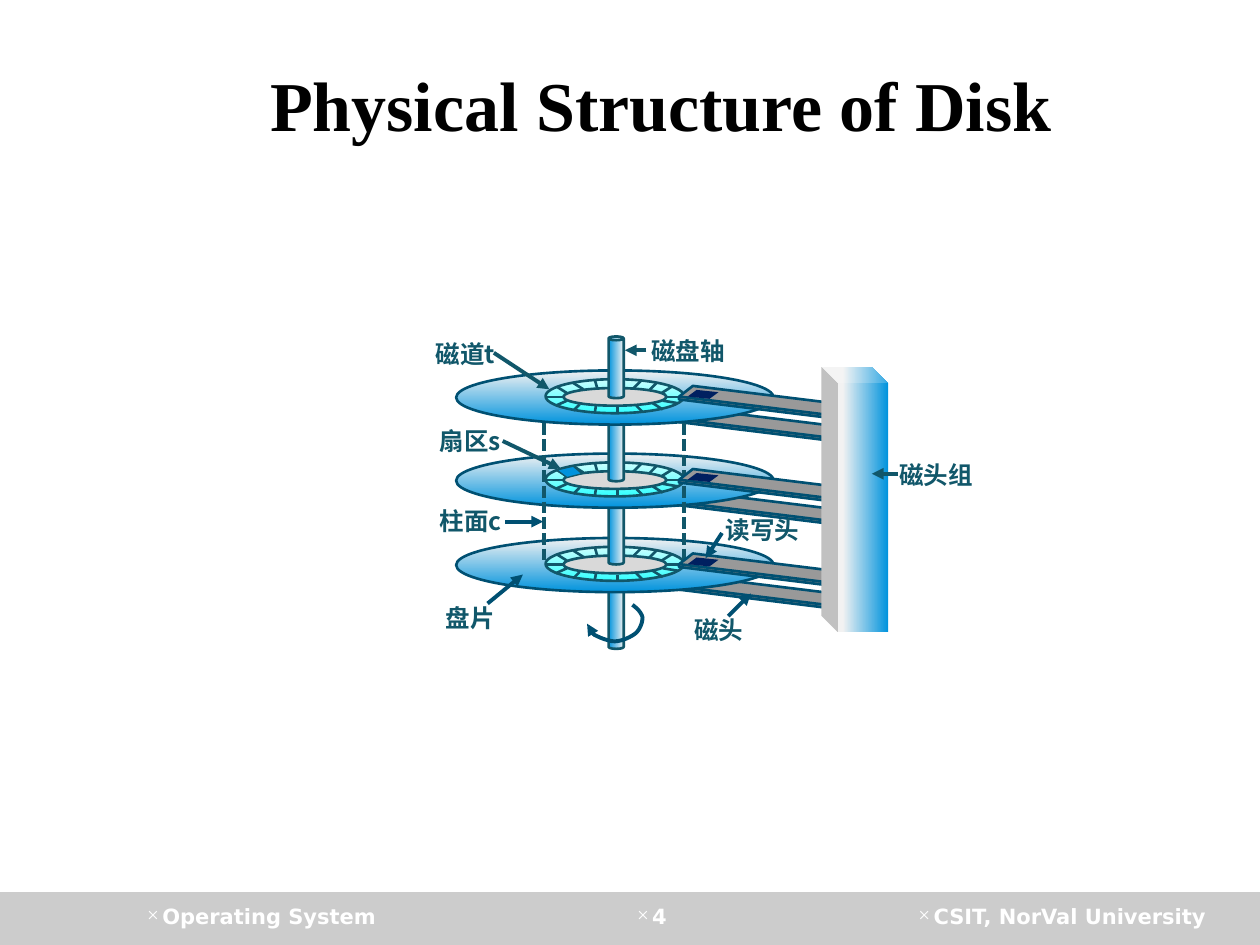
from dataclasses import dataclass

from lxml.etree import SubElement
from pptx import Presentation
from pptx.dml.color import RGBColor
from pptx.enum.dml import MSO_LINE
from pptx.enum.shapes import MSO_CONNECTOR, MSO_SHAPE
from pptx.enum.text import MSO_ANCHOR, PP_ALIGN
from pptx.oxml.ns import qn
from pptx.util import Inches, Pt

COLORS = {
    "ink": "11576A", "edge": "005072", "pale": "F2F2F2", "blue": "0093DD",
    "mint": "CCFFFF", "aqua": "33FFFF", "hub": "D9D9D9", "arm": "808080",
    "chip": "002060", "band": "CCCCCC", "white": "FFFFFF", "black": "000000",
}
TITLE = {"name": "Times New Roman", "size": Pt(40), "bold": True}
FOOTER = {"name": "DejaVu Sans", "size": Pt(12), "bold": True}
LABEL = {"name": "Noto Sans CJK SC", "size": Pt(14), "bold": True}
PLATTER_TOPS = (0.94, 1.6, 2.27)
SECTOR_LINES = (
    (0.41, 0.07, 0.39, 0), (0.3, 0.08, 0.22, 0.03), (0.17, 0.11, 0.09, 0.06),
    (0.14, 0.14, 0, 0.14), (1.1, 0.14, 0.96, 0.14), (0.93, 0.24, 0.85, 0.19),
    (0.77, 0.26, 0.72, 0.21), (0.57, 0.22, 0.57, 0.27), (1.05, 0.19, 0.93, 0.17),
    (0.4, 0.21, 0.39, 0.27), (0.27, 0.2, 0.22, 0.25), (0.17, 0.17, 0.08, 0.21),
    (0.69, 0.08, 0.76, 0.01), (0.82, 0.09, 0.88, 0.03), (0.92, 0.11, 1, 0.06),
)
LABELS = (
    ("磁道t", 0.36, 0.64, 0.68), ("磁盘轴", 2.07, 0.62, 0.79),
    ("磁头组", 4.04, 1.6, 0.79), ("扇区s", 0.39, 1.33, 0.69),
    ("柱面c", 0.39, 1.97, 0.7), ("盘片", 0.44, 2.74, 0.59),
    ("磁头", 2.41, 2.83, 0.59), ("读写头", 2.66, 2.04, 0.79),
)
POINTERS = (
    (0.92, 0.8, 1.36, 1.09, "ink"), (2.13, 0.78, 1.96, 0.78, "ink"),
    (0.99, 1.5, 1.45, 1.72, "ink"), (1.01, 2.14, 1.31, 2.14, "edge"),
    (0.87, 2.79, 1.15, 2.56, "edge"), (2.78, 2.89, 2.96, 2.71, "edge"),
    (2.73, 2.23, 2.6, 2.43, "edge"), (4.13, 1.76, 3.92, 1.76, "ink"),
)
SPIN_CURVES = (
    ((2.02, 2.8), (2.06, 2.83), (2.09, 2.86), (2.1, 2.9)),
    ((2.1, 2.9), (2.1, 2.94), (2.08, 3), (2.04, 3.03)),
    ((2.04, 3.03), (2, 3.06), (1.93, 3.09), (1.88, 3.09)),
    ((1.88, 3.09), (1.83, 3.09), (1.76, 3.06), (1.72, 3.04)),
    ((1.72, 3.04), (1.68, 3.01), (1.67, 2.98), (1.66, 2.95)),
)


@dataclass
class Box:
    """A rectangle in inches that nests other rectangles."""
    left: float
    top: float
    width: float
    height: float

    def inner(self, left, top, width, height):
        """Return a box placed relative to this one."""
        return Box(self.left + left, self.top + top, width, height)

    def point(self, left, top):
        """Return a relative point as lengths."""
        return Inches(self.left + left), Inches(self.top + top)

    def frame(self):
        """Return the four lengths of the box."""
        return [Inches(v) for v in (self.left, self.top, self.width, self.height)]


def color(name):
    """Return a named colour."""
    return RGBColor.from_string(COLORS[name])


def set_line(line, name, width, arrow=False):
    """Style a line, with an arrowhead at its end when asked."""
    line.color.rgb = color(name)
    line.width = Pt(width)
    if arrow:
        SubElement(line._get_or_add_ln(), qn("a:tailEnd"), type="triangle")


def add_part(shapes, kind, box, fill, edge=None, angle=270, start=0, rotation=0):
    """Add a preset shape with a plain or two-colour fill."""
    part = shapes.add_shape(kind, *box.frame())
    part.shadow.inherit = False
    part.rotation = rotation
    if isinstance(fill, tuple):
        part.fill.gradient()
        part.fill.gradient_angle = angle
        for stop, name, position in zip(part.fill.gradient_stops, fill, (start, 1)):
            stop.color.rgb = color(name)
            stop.position = position
    else:
        part.fill.solid()
        part.fill.fore_color.rgb = color(fill)
    if edge:
        set_line(part.line, edge, 1.5)
    else:
        part.line.fill.background()
    return part


def add_line(shapes, box, ends, name, width, arrow=False):
    """Add a straight line between two relative points."""
    line = shapes.add_connector(
        MSO_CONNECTOR.STRAIGHT, *box.point(*ends[:2]), *box.point(*ends[2:]))
    SubElement(line._element.spPr, qn("a:effectLst"))
    set_line(line.line, name, width)
    if arrow:
        SubElement(line.line._get_or_add_ln(), qn("a:tailEnd"), type="triangle")
    return line


def add_text(page, box, text, style, name, align=PP_ALIGN.LEFT, wrap=True):
    """Add one line of styled text and return its paragraph."""
    frame = page.shapes.add_textbox(*box.frame()).text_frame
    frame.word_wrap = wrap
    para = frame.paragraphs[0]
    para.alignment = align
    span = para.add_run()
    span.text = text
    for key, value in style.items():
        setattr(span.font, key, value)
    span.font.color.rgb = color(name)
    SubElement(span.font._element, qn("a:ea"), typeface=style["name"])
    return para


def add_title(page, box):
    """Place the slide title."""
    add_text(page, box, "Physical Structure of Disk ", TITLE, "black", PP_ALIGN.CENTER)
    page.shapes[-1].text_frame.vertical_anchor = MSO_ANCHOR.MIDDLE


def add_footer(page, box):
    """Place the footer band and its three bulleted texts."""
    add_part(page.shapes, MSO_SHAPE.RECTANGLE, box, "band")
    for text, left, width, align in (
            ("Operating System", 1.07, 2.75, PP_ALIGN.LEFT),
            ("CSIT, NorVal University", 6.5, 3.17, PP_ALIGN.RIGHT),
            ("4", 4.01, 2.33, PP_ALIGN.CENTER)):
        area = box.inner(left, 0.04, width, 0.33)
        para = add_text(page, area, text, FOOTER, "white", align)
        layout = para._p.get_or_add_pPr()
        layout.set("marL", str(Inches(0.12)))
        layout.set("indent", str(-Inches(0.12)))
        SubElement(layout, qn("a:buFont"), typeface="Times New Roman")
        SubElement(layout, qn("a:buChar"), char="×")


def add_spindle(page, box):
    """Place one length of the disk axle."""
    add_part(page.shapes, MSO_SHAPE.CAN, box, ("pale", "blue"), "ink", 180)


def add_arm(page, box):
    """Place one slanted head arm."""
    arm = add_part(page.shapes, MSO_SHAPE.CUBE, box, "arm", "edge", rotation=7)
    arm.adjustments[0] = 0.81


def add_platter(page, box):
    """Place a platter with its sectors, hub, axle and lower arm."""
    add_spindle(page, box.inner(1.21, 0.39, 0.12, 0.49))
    add_arm(page, box.inner(1.77, 0.37, 1.31, 0.12))
    add_part(page.shapes, MSO_SHAPE.OVAL, box, ("pale", "blue"), "edge")
    ring = box.inner(0.71, 0.07, 1.1, 0.27)
    track = page.shapes.add_group_shape().shapes
    add_part(track, MSO_SHAPE.OVAL, ring, ("mint", "aqua"), "ink")
    for ends in SECTOR_LINES:
        add_line(track, ring, ends, "ink", 1.5)
    add_part(page.shapes, MSO_SHAPE.OVAL, box.inner(0.85, 0.14, 0.82, 0.14), "hub", "ink")


def add_head(page, box):
    """Place an upper arm with its read-write head."""
    add_arm(page, box.inner(1.77, 0.19, 1.31, 0.12))
    chip = add_part(page.shapes, MSO_SHAPE.PARALLELOGRAM,
                    box.inner(1.84, 0.16, 0.24, 0.06), "chip", rotation=6)
    chip.adjustments[0] = 1.09


def add_outline(page, box, points, close):
    """Add a freeform through relative points."""
    first, *rest = [box.point(*point) for point in points]
    builder = page.shapes.build_freeform(*first)
    builder.add_line_segments(rest, close=close)
    outline = builder.convert_to_shape()
    outline.shadow.inherit = False
    return outline


def curve_point(curve, t):
    """Return the point of a cubic curve at t."""
    weights = ((1 - t) ** 3, 3 * t * (1 - t) ** 2, 3 * t * t * (1 - t), t ** 3)
    return [sum(w * p[axis] for w, p in zip(weights, curve)) for axis in (0, 1)]


def add_disk(page, box):
    """Place the disk stack, its heads and its labels."""
    platters = [box.inner(0.62, top, 2.52, 0.43) for top in PLATTER_TOPS]
    for platter in reversed(platters):
        add_platter(page, platter)
    add_spindle(page, box.inner(1.83, 0.67, 0.12, 0.49))
    for left in (1.32, 2.43):
        side = add_line(page.shapes, box, (left, 1.36, left, 2.47), "ink", 2.25)
        side.line.dash_style = MSO_LINE.SQUARE_DOT
    for platter in platters:
        add_head(page, platter)
    sector = add_outline(
        page, box, ((1.42, 1.73), (1.5, 1.79), (1.62, 1.76), (1.55, 1.7)), True)
    sector.fill.solid()
    sector.fill.fore_color.rgb = color("blue")
    set_line(sector.line, "ink", 0.75)
    spin = add_outline(page, box, [curve_point(curve, step / 6)
                                   for curve in SPIN_CURVES for step in range(7)], False)
    spin.fill.background()
    set_line(spin.line, "edge", 2.25, arrow=True)
    tower = add_part(page.shapes, MSO_SHAPE.CUBE, box.inner(3.52, 0.91, 0.53, 2.11),
                     ("pale", "blue"), angle=180, start=0.32)
    tower._element.spPr.get_or_add_xfrm().set("flipH", "1")
    for text, left, top, width in LABELS:
        add_text(page, box.inner(left, top, width, 0.34), text, LABEL, "ink",
                 wrap=text[-1].isascii())
    for *ends, name in POINTERS:
        add_line(page.shapes, box, ends, name, 2.25, arrow=True)


def main():
    """Build and save the deck."""
    deck = Presentation()
    deck.slide_width, deck.slide_height = Inches(10), Inches(7.5)
    page = deck.slides.add_slide(deck.slide_layouts[6])
    add_footer(page, Box(0, 7.08, 10, 0.42))
    add_title(page, Box(1.06, 0.33, 8.51, 0.98))
    add_disk(page, Box(3, 2, 5, 3.5))
    deck.save("out.pptx")


if __name__ == "__main__":
    main()
